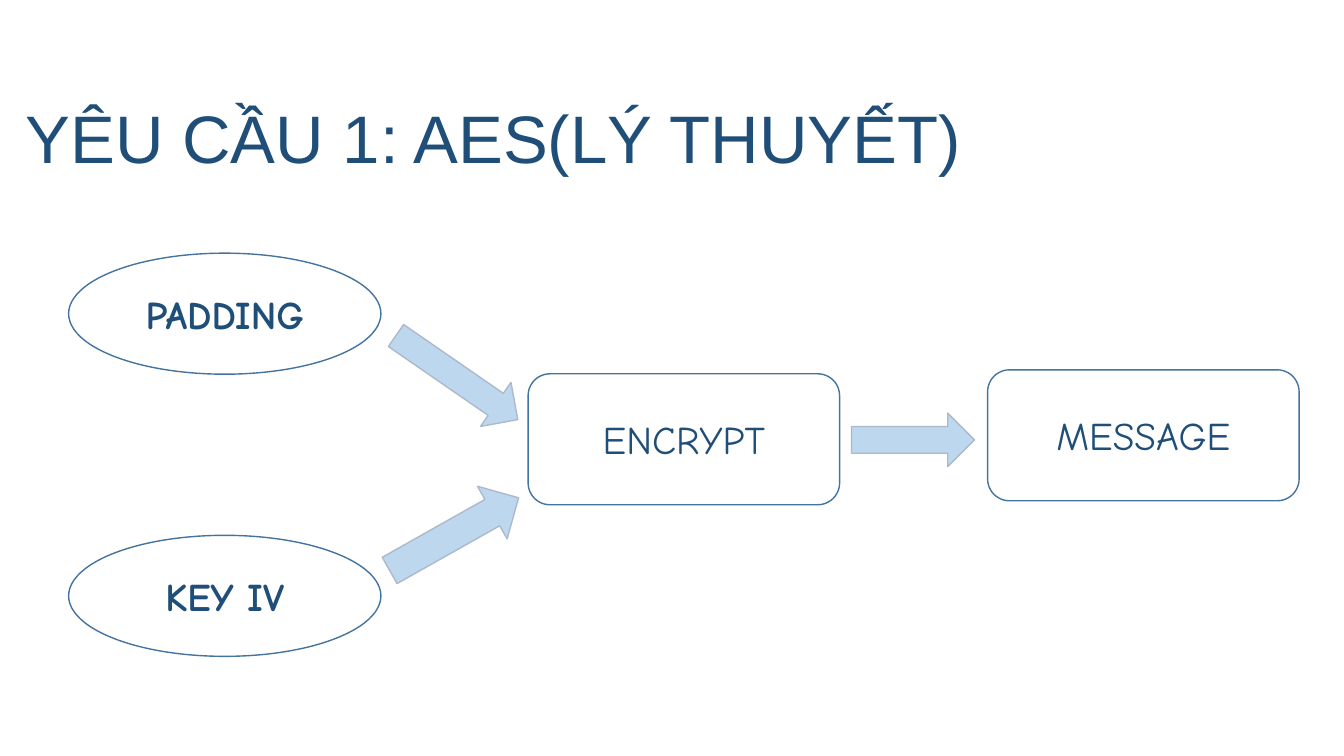
"""Build the slide that shows the theory of AES encryption as a flow."""
from pptx import Presentation
from pptx.dml.color import RGBColor
from pptx.enum import shapes, text
from pptx.util import Cm, Pt

NAVY = RGBColor(0x1F, 0x4E, 0x79)
OUTLINE = RGBColor(0x43, 0x73, 0x9E)
PALE_BLUE = RGBColor(0xBD, 0xD7, 0xEE)
GREY = RGBColor(0xAD, 0xB9, 0xCA)

TITLE = "YÊU CẦU 1: AES(LÝ THUYẾT)"
OVAL = (shapes.MSO_SHAPE.OVAL, 7.87, 3.05, True)
BOX = (shapes.MSO_SHAPE.ROUNDED_RECTANGLE, 7.85, 3.3, False)
NODES = [
    ("KEY IV", OVAL, 1.73, 13.49),
    ("MESSAGE", BOX, 24.89, 9.32),
    ("PADDING", OVAL, 1.73, 6.38),
    ("ENCRYPT", BOX, 13.31, 9.42),
]
ARROWS = [
    (21.46, 10.41, 3.1, 1.35, 0),
    (9.58, 12.7, 3.73, 1.52, 330.6),
    (9.65, 8.84, 3.73, 1.35, 34.6),
]


def write(tf, words, font, size, bold=False):
    """Put one centred line of navy text in a frame."""
    tf.text = words
    p = tf.paragraphs[0]
    p.alignment = text.PP_ALIGN.CENTER
    f = p.runs[0].font
    f.name, f.size, f.bold = font, Pt(size), bold
    f.color.rgb = NAVY


def add_shape(s, kind, box, line):
    """Add a flat preset shape with a thin outline."""
    sp = s.shapes.add_shape(kind, *map(Cm, box))
    sp.shadow.inherit = False
    sp.line.color.rgb = line
    sp.line.width = Pt(1)
    return sp


def main():
    """Draw the title, the nodes and the arrows, then save."""
    prs = Presentation()
    prs.slide_width, prs.slide_height = Cm(33.87), Cm(19.05)
    s = prs.slides.add_slide(prs.slide_layouts[5])

    title = s.shapes.title
    title.left, title.top, title.width, title.height = map(Cm, (0.33, 2.31, 24.23, 2.31))
    title.text_frame.vertical_anchor = text.MSO_ANCHOR.TOP
    write(title.text_frame, TITLE, "Arial", 48)

    for words, (kind, width, height, bold), left, top in NODES:
        sp = add_shape(s, kind, (left, top, width, height), OUTLINE)
        sp.fill.background()
        sp.text_frame.vertical_anchor = text.MSO_ANCHOR.MIDDLE
        write(sp.text_frame, words, "Comic Neue", 28, bold)

    for *box, angle in ARROWS:
        sp = add_shape(s, shapes.MSO_SHAPE.RIGHT_ARROW, box, GREY)
        sp.fill.solid()
        sp.fill.fore_color.rgb = PALE_BLUE
        sp.rotation = angle

    prs.save("out.pptx")


if __name__ == "__main__":
    main()
